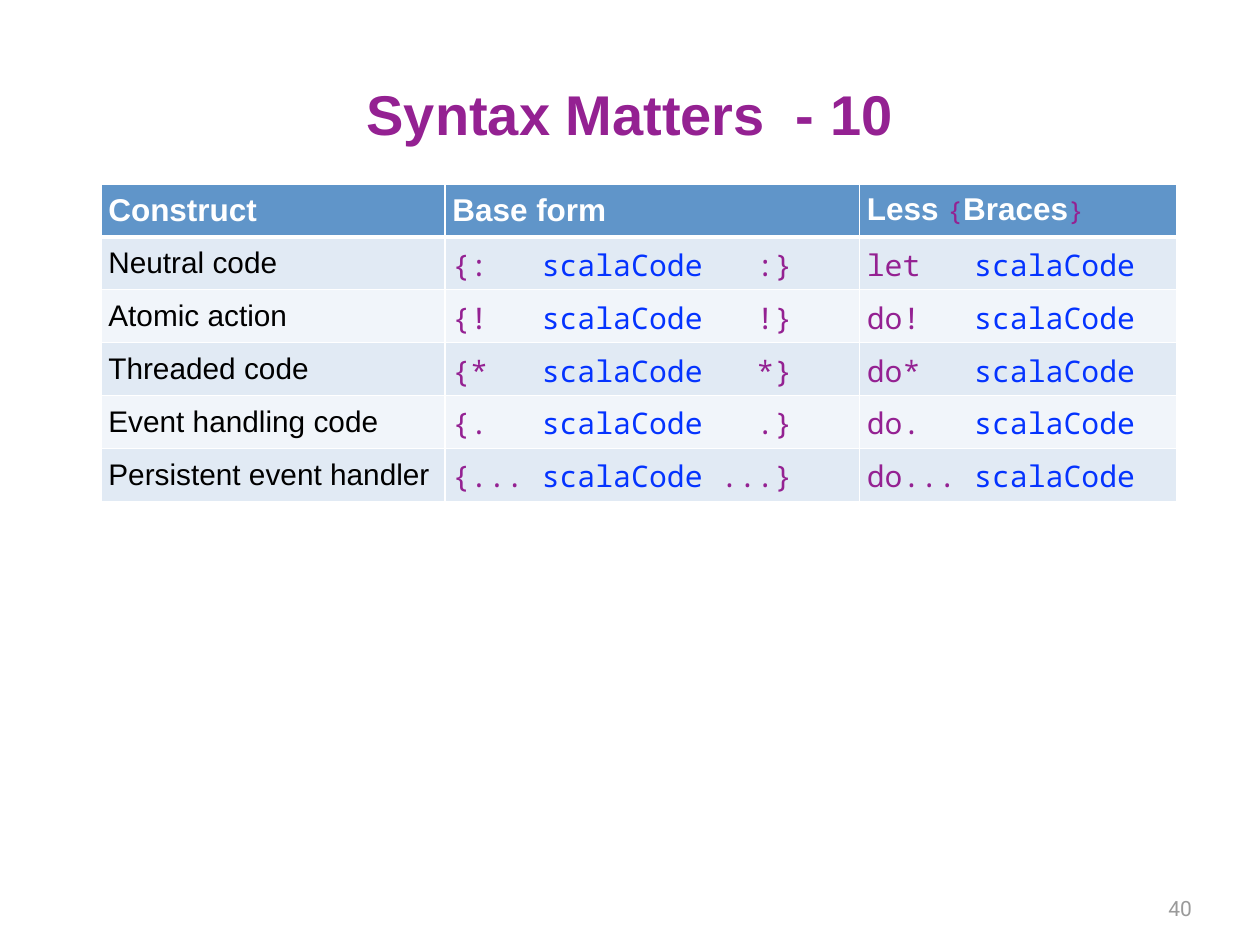
from dataclasses import dataclass

from lxml import etree
from pptx import Presentation
from pptx import util as u
from pptx.dml.color import RGBColor
from pptx.enum import text
from pptx.oxml import ns


@dataclass(frozen=True)
class Theme:
    sans: str = "Arial"
    mono: str = "Noto Sans Mono"
    number_font: str = "Roboto"
    purple: str = "942192"
    blue: str = "0433FF"
    black: str = "000000"
    white: str = "FFFFFF"
    grey: str = "9A9A9A"
    header: str = "6095C9"
    bands: tuple = ("E1EAF4", "F1F5FA")
    title_size: int = 32
    header_size: int = 18
    body_size: int = 17
    brace_size: int = 15
    number_size: int = 12


T = Theme()
COLUMN_WIDTHS = (2.73, 3.29, 2.52)
ROW_HEIGHT = 0.42
CONSTRUCTS = (
    ("Neutral code", ":", "let"),
    ("Atomic action", "!", "do!"),
    ("Threaded code", "*", "do*"),
    ("Event handling code", ".", "do."),
    ("Persistent event handler", "...", "do..."),
)


def add_run(p, words, font, size, color, bold=False):
    r = p.add_run()
    r.text = words
    r.font.name = font
    r.font.size = u.Pt(size)
    r.font.bold = bold
    r.font.color.rgb = RGBColor.from_string(color)


def add_text(s, box, words, align, font, size, color, bold=False, wrap=True):
    tf = s.shapes.add_textbox(*map(u.Inches, box)).text_frame
    tf.word_wrap = wrap
    tf.vertical_anchor = text.MSO_ANCHOR.MIDDLE
    tf.margin_left = tf.margin_right = u.Inches(0.04)
    tf.margin_top = tf.margin_bottom = u.Inches(0.04)
    p = tf.paragraphs[0]
    p.alignment = align
    add_run(p, words, font, size, color, bold)


def set_borders(cell, bottom):
    props = cell._tc.get_or_add_tcPr()
    widths = {"a:lnL": 1, "a:lnR": 1, "a:lnT": 1, "a:lnB": bottom}
    for i, (tag, width) in enumerate(widths.items()):
        line = etree.Element(ns.qn(tag), w=str(u.Pt(width)))
        fill = etree.SubElement(line, ns.qn("a:solidFill"))
        etree.SubElement(fill, ns.qn("a:srgbClr"), val=T.white)
        props.insert(i, line)


def fill_cell(cell, runs, fill, bottom=1):
    cell.fill.solid()
    cell.fill.fore_color.rgb = RGBColor.from_string(fill)
    cell.vertical_anchor = text.MSO_ANCHOR.MIDDLE
    cell.margin_left = cell.margin_right = u.Inches(0.06)
    cell.margin_top = cell.margin_bottom = u.Inches(0.06)
    set_borders(cell, bottom)
    for run in runs:
        add_run(cell.text_frame.paragraphs[0], *run)


def heading(words):
    return words, T.sans, T.header_size, T.white, True


def brace(symbol):
    return symbol, T.mono, T.brace_size, T.purple


def code(words, color=T.purple):
    return words, T.mono, T.body_size, color


def construct_row(name, mark, keyword):
    gap = " " * (4 - len(mark))
    return (
        [(name, T.sans, T.body_size, T.black)],
        [code("{" + mark + gap), code("scalaCode" + gap, T.blue), code(mark + "}")],
        [code(keyword.ljust(6)), code("scalaCode", T.blue)],
    )


def add_syntax_table(s):
    header = (
        [heading("Construct")],
        [heading("Base form")],
        [heading("Less "), brace("{"), heading("Braces"), brace("}")],
    )
    rows = [header] + [construct_row(*c) for c in CONSTRUCTS]
    size = (sum(COLUMN_WIDTHS), ROW_HEIGHT * len(rows))
    frame = s.shapes.add_table(
        len(rows), len(COLUMN_WIDTHS), *map(u.Inches, (0.8, 1.46, *size))
    )
    table = frame.table
    for column, width in zip(table.columns, COLUMN_WIDTHS):
        column.width = u.Inches(width)
    for i, row in enumerate(rows):
        table.rows[i].height = u.Inches(ROW_HEIGHT)
        fill = T.bands[(i - 1) % 2] if i else T.header
        for j, runs in enumerate(row):
            fill_cell(table.cell(i, j), runs, fill, bottom=1 if i else 3)
    for j in range(len(COLUMN_WIDTHS)):
        top = table.cell(1, j)._tc.tcPr.find(ns.qn("a:lnT"))
        top.set("w", str(u.Pt(3)))


def main():
    prs = Presentation()
    prs.slide_width, prs.slide_height = u.Inches(10), u.Inches(7.5)
    s = prs.slides.add_slide(prs.slide_layouts[6])
    add_text(s, (0.5, 0.27, 9, 1.25), "Syntax Matters  - 10", text.PP_ALIGN.CENTER,
             T.sans, T.title_size, T.purple, bold=True)
    add_text(s, (9.22, 7.07, 0.28, 0.28), "40", text.PP_ALIGN.RIGHT,
             T.number_font, T.number_size, T.grey, wrap=False)
    add_syntax_table(s)
    prs.save("out.pptx")


if __name__ == "__main__":
    main()
